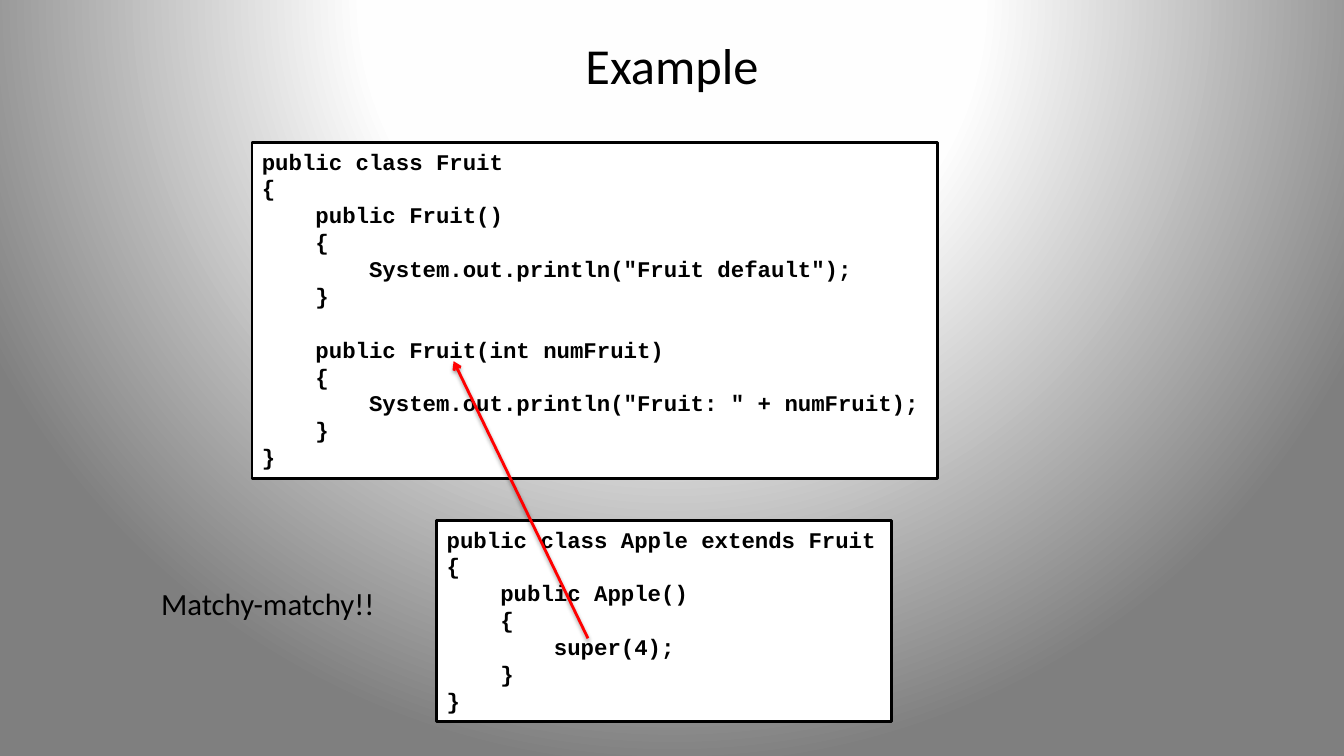
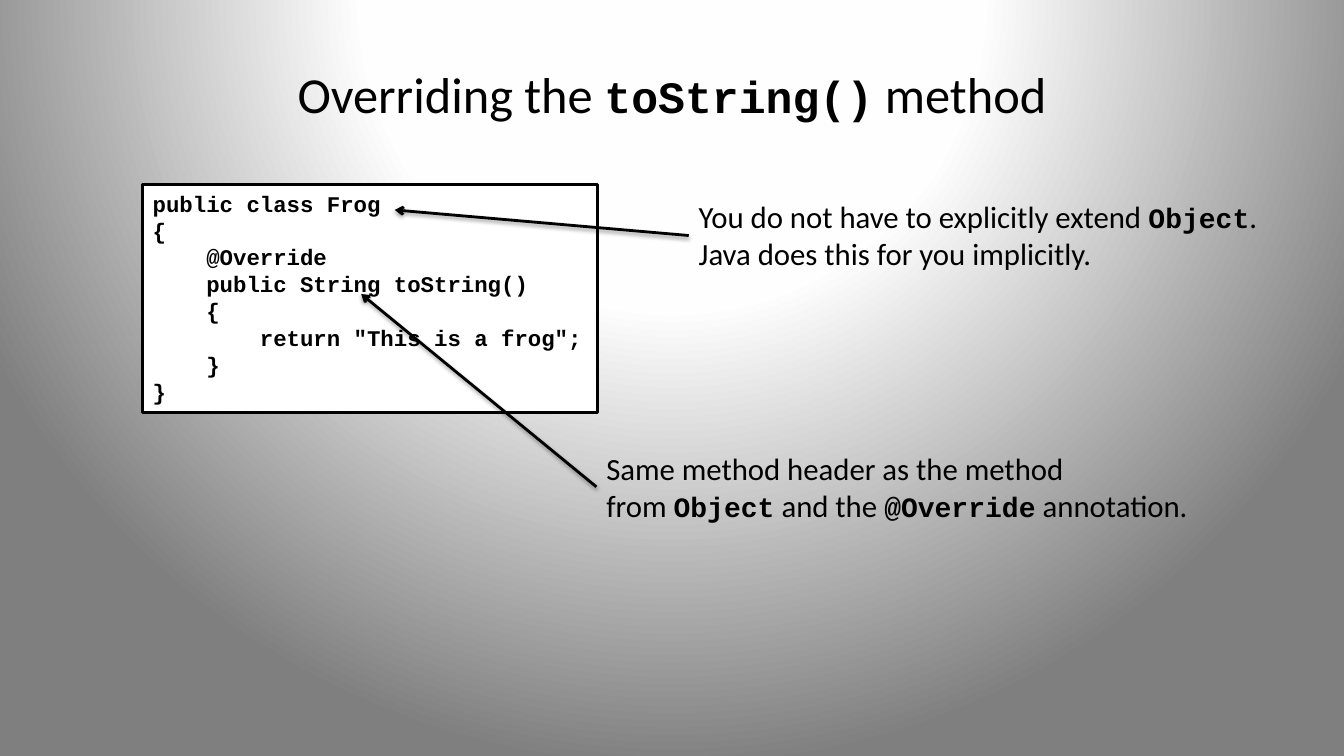
from dataclasses import dataclass

from lxml.etree import SubElement
from pptx import Presentation
from pptx.dml.color import RGBColor as RGB
from pptx.enum.shapes import MSO_CONNECTOR as Link
from pptx.enum.text import MSO_AUTO_SIZE as Fit, PP_ALIGN as Align
from pptx.oxml import parse_xml
from pptx.oxml.ns import nsdecls, qn
from pptx.util import Pt


@dataclass(frozen=True)
class Theme:
    ink: RGB = RGB(0, 0, 0)
    paper: RGB = RGB(255, 255, 255)
    red: RGB = RGB(255, 0, 0)
    sans: str = "Calibri"
    mono: str = "Courier New"
    head: tuple = (36, 32)
    note: tuple = (22, 20)
    code: tuple = (16, 16)
    line: float = 2


look = Theme()

BACK = f"""<p:bg {nsdecls("p", "a")}><p:bgPr><a:gradFill rotWithShape="1"><a:gsLst>
<a:gs pos="0"><a:srgbClr val="FFFFFF"/></a:gs>
<a:gs pos="40000"><a:srgbClr val="FEFEFE"/></a:gs>
<a:gs pos="100000"><a:srgbClr val="7F7F7F"/></a:gs></a:gsLst>
<a:path path="circle"><a:fillToRect l="50000" t="-80000" r="50000" b="180000"/></a:path>
</a:gradFill><a:effectLst/></p:bgPr></p:bg>"""

SHADE = f"""<a:effectLst {nsdecls("a")}>
<a:outerShdw blurRad="39370" dist="20320" dir="5400000" rotWithShape="0">
<a:srgbClr val="000000"><a:alpha val="38000"/></a:srgbClr></a:outerShdw></a:effectLst>"""

FRUIT = """public class Fruit
{
    public Fruit()
    {
        System.out.println("Fruit default");
    }

    public Fruit(int numFruit)
    {
        System.out.println("Fruit: " + numFruit);
    }
}"""

APPLE = """public class Apple extends Fruit
{
    public Apple()
    {
        super(4);
    }
}"""

FROG = """public class Frog
{
    @Override
    public String toString()
    {
        return "This is a frog";
    }
}"""

OBJECT = """You do not have to explicitly extend `Object`.
Java does this for you implicitly."""

HEADER = """Same method header as the method
from `Object` and the `@Override` annotation."""

# Boxes are left, top, width, height; an arrow is start, end, colour and,
# where it leaves a note, the index of that note.
deck = [
    dict(
        title="Example", place=(48, 12, 864, 68.4),
        codes=[(FRUIT, (180, 102, 490, 240)), (APPLE, (312, 372, 325, 143.5))],
        notes=[("Matchy-matchy!!", (108, 414, 171, 34))],
        arrows=[((420, 456), (324, 258), look.red, None)],
    ),
    dict(
        title="Overriding the `toString()` method", place=(48, 21.5, 864, 90),
        codes=[(FROG, (102, 132, 325, 162.5))],
        notes=[(OBJECT, (492, 138, 428, 60.5)), (HEADER, (426, 317.5, 446, 60.5))],
        arrows=[((492, 168.25), (282, 150), look.ink, 0),
                ((426, 347.75), (258, 210), look.ink, 1)],
    ),
]


def write(frame, text, sizes, code=False):
    """Write one paragraph a line; backticks switch to the code face."""
    for row, line in enumerate(text.split("\n")):
        para = frame.add_paragraph() if row else frame.paragraphs[0]
        if not line:
            end = para._p.get_or_add_endParaRPr()
            end.set("sz", str(sizes[1] * 100))
            SubElement(end, qn("a:latin")).set("typeface", look.mono)
        for turn, part in enumerate([line] if code else line.split("`")):
            if not part:
                continue
            mono = code or turn % 2 == 1
            run = para.add_run()
            run.text = part
            run.font.name = look.mono if mono else look.sans
            run.font.size = Pt(sizes[mono])
            run.font.bold = mono
            run.font.color.rgb = look.ink


def add_box(slide, text, place, sizes, code=False):
    box = slide.shapes.add_textbox(*map(Pt, place))
    box.text_frame.word_wrap = False
    box.text_frame.auto_size = Fit.SHAPE_TO_FIT_TEXT
    write(box.text_frame, text, sizes, code)
    return box


prs = Presentation()
prs.slide_width, prs.slide_height = Pt(960), Pt(540)
base = prs.slide_master.element.cSld
base.remove(base.find(qn("p:bg")))
base.insert(0, parse_xml(BACK))

for page in deck:
    slide = prs.slides.add_slide(prs.slide_layouts[5])
    title = slide.shapes.title
    title.left, title.top, title.width, title.height = map(Pt, page["place"])
    title.text_frame.auto_size = Fit.NONE
    write(title.text_frame, page["title"], look.head)
    title.text_frame.paragraphs[0].alignment = Align.CENTER

    for text, place in page["codes"]:
        box = add_box(slide, text, place, look.code, code=True)
        box.fill.solid()
        box.fill.fore_color.rgb = look.paper
        box.line.color.rgb = look.ink
        box.line.width = Pt(look.line)

    notes = [add_box(slide, text, place, look.note) for text, place in page["notes"]]

    for start, end, color, note in page["arrows"]:
        arrow = slide.shapes.add_connector(Link.STRAIGHT, *map(Pt, start + end))
        if note is not None:
            arrow.begin_connect(notes[note], 1)
        arrow.line.color.rgb = color
        arrow.line.width = Pt(look.line)
        SubElement(arrow.line._get_or_add_ln(), qn("a:tailEnd")).set("type", "arrow")
        arrow._element.spPr.append(parse_xml(SHADE))

prs.save("out.pptx")
